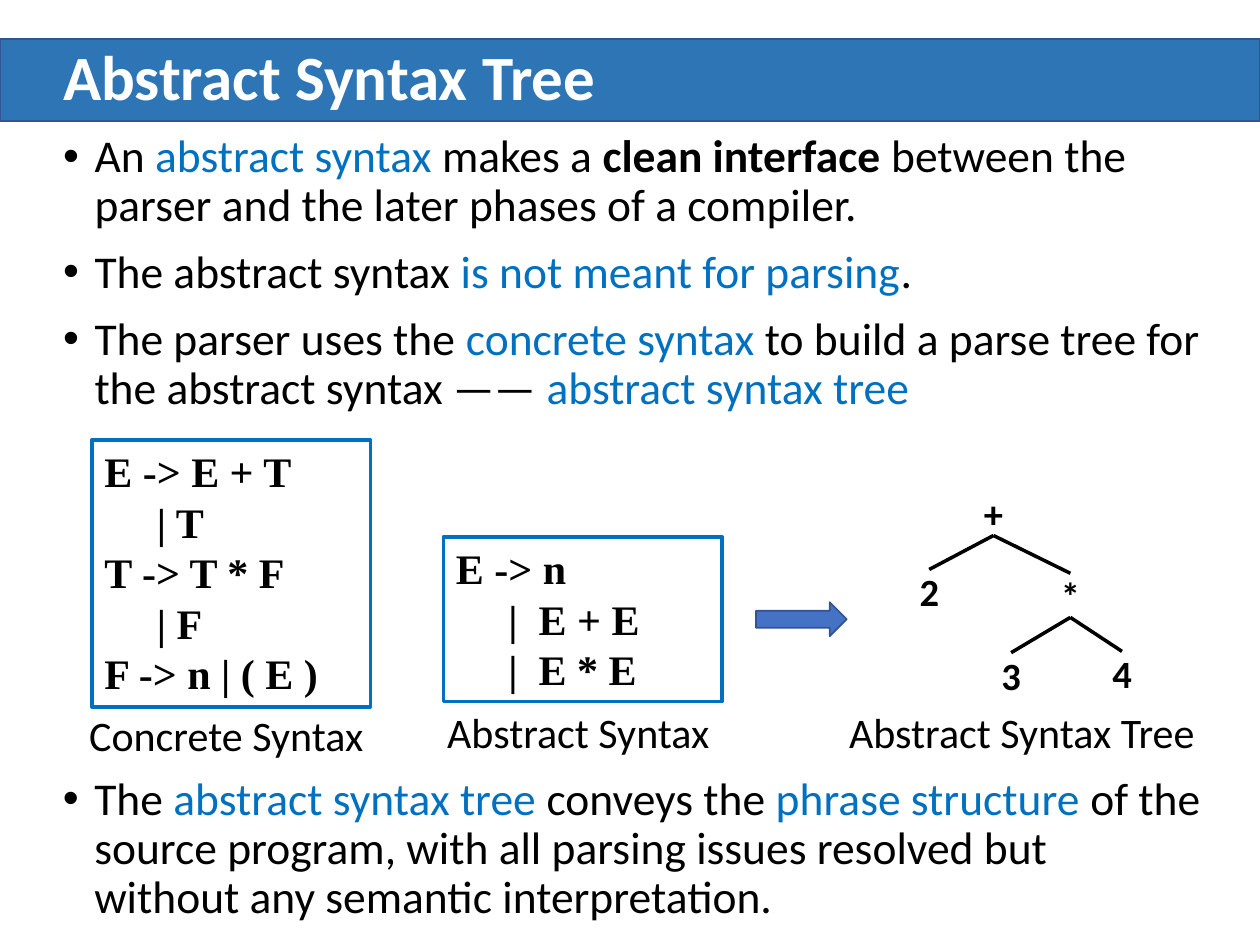
from lxml.etree import SubElement
from pptx import Presentation
from pptx.dml.color import RGBColor
from pptx.enum.shapes import MSO_CONNECTOR, MSO_SHAPE
from pptx.enum.text import MSO_ANCHOR, MSO_AUTO_SIZE, PP_ALIGN
from pptx.oxml.ns import qn
from pptx.util import Inches, Pt

BLACK = RGBColor(0x00, 0x00, 0x00)
WHITE = RGBColor(0xFF, 0xFF, 0xFF)
BLUE = RGBColor(0x00, 0x70, 0xC0)
BAND = RGBColor(0x2E, 0x75, 0xB6)
ARROW = RGBColor(0x44, 0x72, 0xC4)
EDGE = RGBColor(0x32, 0x54, 0x91)

POINTS = [
    [("An ", ""), ("abstract syntax ", "blue"), ("makes a ", ""),
     ("clean interface ", "bold"),
     ("between the parser and the later phases of a compiler.", "")],
    [("The abstract syntax ", ""), ("is not meant for parsing", "blue"), (".", "")],
    [("The parser uses the ", ""), ("concrete syntax ", "blue"),
     ("to build a parse tree for the abstract syntax —— ", ""),
     ("abstract syntax tree", "blue")],
]
CLOSING = [
    [("The ", ""), ("abstract syntax tree ", "blue"), ("conveys the ", ""),
     ("phrase structure ", "blue"),
     ("of the source program, with all parsing issues resolved but "
      "without any semantic interpretation.", "")],
]
CONCRETE = ["E -> E + T", "     | T", "T -> T * F", "     | F", "F -> n | ( E )"]
ABSTRACT = ["E -> n", "     |  E + E", "     |  E * E"]
LABELS = [
    ("Concrete Syntax", 0.4, 5.58, 2.79),
    ("Abstract Syntax", 3.05, 5.56, 3.08),
    ("Abstract Syntax Tree", 6.57, 5.56, 3.08),
]
NODES = {"+": (7.58, 3.9), "2": (7.07, 4.52), "*": (8.19, 4.55),
         "3": (7.72, 5.18), "4": (8.6, 5.17)}
LINKS = ["+2", "+*", "*3", "*4"]


def place(shape, left, top, width, height):
    """Move and size a shape, in inches."""
    shape.left, shape.top = Inches(left), Inches(top)
    shape.width, shape.height = Inches(width), Inches(height)


def style(para, size, color=BLACK, bold=False, name="Calibri"):
    """Set the font of a whole paragraph."""
    font = para.font
    font.name, font.size, font.bold = name, Pt(size), bold
    font.color.rgb = color


def add_form(slide, kind, box, fill=None, line=None, width=1):
    """Add a preset shape with the given fill and outline."""
    shape = slide.shapes.add_shape(kind, *map(Inches, box))
    shape.shadow.inherit = False
    if fill is None:
        shape.fill.background()
    else:
        shape.fill.solid()
        shape.fill.fore_color.rgb = fill
    if line is None:
        shape.line.fill.background()
    else:
        shape.line.color.rgb = line
        shape.line.width = Pt(width)
    return shape


def set_title(slide, text):
    """Fill the title and lay its band behind it."""
    title = slide.shapes.title
    place(title, 0.4, 0.31, 9.24, 0.65)
    band = add_form(slide, MSO_SHAPE.RECTANGLE, (0, 0.31, 10, 0.65), BAND, EDGE)
    title.element.addprevious(band.element)
    frame = title.text_frame
    frame.text = text
    frame.auto_size = MSO_AUTO_SIZE.NONE
    frame.vertical_anchor = MSO_ANCHOR.MIDDLE
    para = frame.paragraphs[0]
    para.alignment = PP_ALIGN.LEFT
    para.line_spacing = 0.9
    style(para, 36, WHITE, True)


def fill_list(frame, items):
    """Write bulleted paragraphs with marked runs."""
    frame.word_wrap = True
    frame.auto_size = MSO_AUTO_SIZE.NONE
    for i, parts in enumerate(items):
        para = frame.add_paragraph() if i else frame.paragraphs[0]
        para.line_spacing = 0.9
        para.space_before = Pt(10 if i else 0)
        props = para._p.get_or_add_pPr()
        props.set("marL", str(Inches(0.25)))
        props.set("indent", str(-Inches(0.25)))
        SubElement(props, qn("a:buFont"), typeface="Arial")
        SubElement(props, qn("a:buChar"), char="•")
        style(para, 26)
        for text, mark in parts:
            run = para.add_run()
            run.text = text
            if mark == "blue":
                run.font.color.rgb = BLUE
            elif mark == "bold":
                run.font.bold = True


def add_rules(slide, lines, box):
    """Add a framed grammar, one rule a line."""
    shape = add_form(slide, MSO_SHAPE.RECTANGLE, box, line=BLUE, width=2)
    frame = shape.text_frame
    frame.vertical_anchor = MSO_ANCHOR.TOP
    frame.text = "\n".join(lines)
    for para in frame.paragraphs:
        para.alignment = PP_ALIGN.LEFT
        style(para, 24, bold=True, name="Times New Roman")


def add_label(slide, text, left, top, width):
    """Add a centred caption."""
    box = slide.shapes.add_textbox(*map(Inches, (left, top, width, 0.5)))
    frame = box.text_frame
    frame.word_wrap = True
    frame.text = text
    para = frame.paragraphs[0]
    para.alignment = PP_ALIGN.CENTER
    style(para, 24)


def add_node(slide, text, left, top):
    """Add one tree node."""
    node = add_form(slide, MSO_SHAPE.ROUNDED_RECTANGLE, (left, top, 0.61, 0.35))
    frame = node.text_frame
    frame.vertical_anchor = MSO_ANCHOR.MIDDLE
    frame.text = text
    para = frame.paragraphs[0]
    para.alignment = PP_ALIGN.CENTER
    style(para, 22, bold=True)
    return node


def add_link(slide, head, child):
    """Join a node to its child."""
    link = slide.shapes.add_connector(MSO_CONNECTOR.STRAIGHT, 0, 0, 0, 0)
    link.begin_connect(head, 2)
    link.end_connect(child, 0)
    link.line.color.rgb = BLACK
    link.line.width = Pt(2)
    SubElement(link.element.spPr, qn("a:effectLst"))


def main():
    """Build the slide and save it."""
    deck = Presentation()
    deck.slide_width, deck.slide_height = Inches(10), Inches(7.5)
    slide = deck.slides.add_slide(deck.slide_layouts[1])
    set_title(slide, "Abstract Syntax Tree")
    body = slide.placeholders[1]
    place(body, 0.4, 1.01, 9.24, 2.41)
    fill_list(body.text_frame, POINTS)
    add_rules(slide, CONCRETE, (0.73, 3.49, 2.21, 2.12))
    add_rules(slide, ABSTRACT, (3.52, 4.26, 2.21, 1.31))
    for label in LABELS:
        add_label(slide, *label)
    end = slide.shapes.add_textbox(*map(Inches, (0.4, 6.11, 9.24, 1.41)))
    fill_list(end.text_frame, CLOSING)
    nodes = {text: add_node(slide, text, *spot) for text, spot in NODES.items()}
    for head, child in LINKS:
        add_link(slide, nodes[head], nodes[child])
    add_form(slide, MSO_SHAPE.RIGHT_ARROW, (6, 4.78, 0.72, 0.27), ARROW, EDGE)
    deck.save("out.pptx")


if __name__ == "__main__":
    main()
